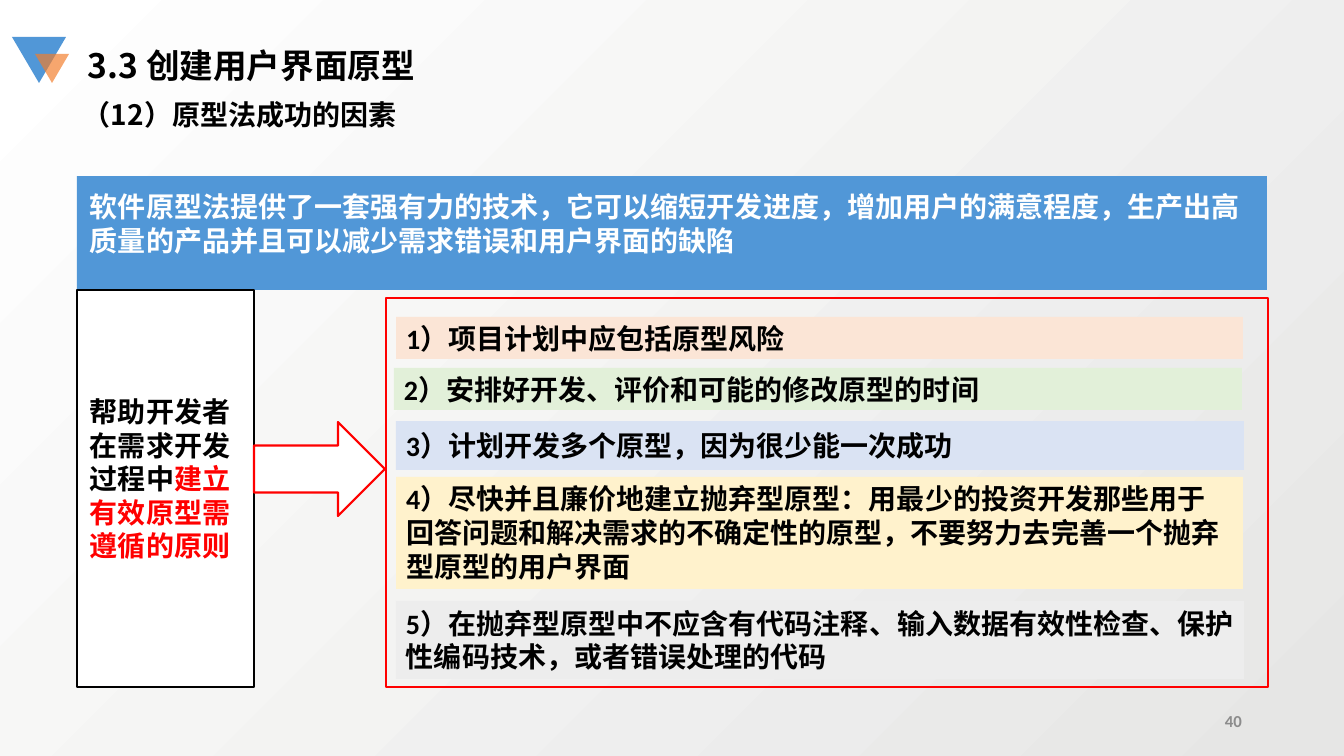
import pptx
import pptx.util
import pptx.dml.color
import pptx.enum.shapes
import pptx.enum.text
import pptx.oxml.ns
import lxml.etree

RGB = pptx.dml.color.RGBColor
SHAPE = pptx.enum.shapes.MSO_SHAPE
ALIGN = pptx.enum.text.PP_ALIGN
ANCHOR = pptx.enum.text.MSO_ANCHOR
AUTO_SIZE = pptx.enum.text.MSO_AUTO_SIZE

BLUE = RGB(0x51, 0x97, 0xD7)
ORANGE = RGB(0xF3, 0x7D, 0x2A)
WHITE = RGB(0xFF, 0xFF, 0xFF)
BLACK = RGB(0x00, 0x00, 0x00)
RED = RGB(0xFF, 0x00, 0x00)
GRAY = RGB(0x8C, 0x8C, 0x8C)
BACKDROP = RGB(0xE6, 0xE6, 0xE5)
PEACH = RGB(0xFB, 0xE5, 0xD6)
GREEN = RGB(0xE2, 0xF0, 0xD9)
PALE_BLUE = RGB(0xDA, 0xE3, 0xF3)
YELLOW = RGB(0xFF, 0xF2, 0xCC)
PALE_GRAY = RGB(0xED, 0xED, 0xED)

CHINESE = "Noto Sans CJK SC"
LATIN = "Calibri"
WIDTH, HEIGHT = 1344, 756
SCALE = 12192000 / WIDTH


def px(length):
    return pptx.util.Emu(round(length * SCALE))


def write(box, *spans, font=CHINESE, size=20, align=ALIGN.LEFT,
          anchor=ANCHOR.MIDDLE, insets=(10, 5, 10, 5), grow=False):
    """Fill a box with one bold paragraph of (text, colour) spans."""
    frame = box.text_frame
    frame.word_wrap = True
    frame.auto_size = AUTO_SIZE.SHAPE_TO_FIT_TEXT if grow else AUTO_SIZE.NONE
    frame.vertical_anchor = anchor
    (frame.margin_left, frame.margin_top,
     frame.margin_right, frame.margin_bottom) = map(px, insets)
    para = frame.paragraphs[0]
    para.alignment = align
    for text, color in spans:
        span = para.add_run()
        span.text = text
        span.font.size = pptx.util.Pt(size)
        span.font.bold = True
        span.font.color.rgb = color
        span.font.name = font
        latin = span.font._element.find(pptx.oxml.ns.qn("a:latin"))
        east_asian = lxml.etree.Element(pptx.oxml.ns.qn("a:ea"), typeface=CHINESE)
        latin.addnext(east_asian)


class SlideBuilder:
    def __init__(self, deck):
        self.slide = deck.slides.add_slide(deck.slide_layouts[6])

    def background(self, start, end, angle):
        fill = self.slide.background.fill
        fill.gradient()
        fill.gradient_angle = angle
        for stop, color in zip(fill.gradient_stops, (start, end)):
            stop.color.rgb = color

    def shape(self, kind, place, fill=None, line=None, line_width=1):
        box = self.slide.shapes.add_shape(kind, *map(px, place))
        box.shadow.inherit = False
        if fill is None:
            box.fill.background()
        else:
            box.fill.solid()
            box.fill.fore_color.rgb = fill
        if line is None:
            box.line.fill.background()
        else:
            box.line.color.rgb = line
            box.line.width = pptx.util.Pt(line_width)
        return box

    def triangle(self, place, fill, opacity=100):
        """Draw a triangle that points down."""
        box = self.shape(SHAPE.ISOSCELES_TRIANGLE, place, fill)
        box.rotation = 180
        if opacity < 100:
            color = box.fill._xPr.find(".//" + pptx.oxml.ns.qn("a:srgbClr"))
            lxml.etree.SubElement(color, pptx.oxml.ns.qn("a:alpha"),
                                  val=str(opacity * 1000))

    def panel(self, place, fill, *spans, line=None, **text_format):
        write(self.shape(SHAPE.RECTANGLE, place, fill, line), *spans, **text_format)

    def label(self, place, text, color=BLACK, **text_format):
        box = self.slide.shapes.add_textbox(*map(px, place))
        write(box, (text, color), **text_format)


def main():
    deck = pptx.Presentation()
    deck.slide_width, deck.slide_height = px(WIDTH), px(HEIGHT)
    page = SlideBuilder(deck)
    page.background(BACKDROP, WHITE, 135)

    page.triangle((12, 37, 54, 46), BLUE)
    page.triangle((35, 54, 34, 29), ORANGE, opacity=68)
    page.label((78, 40, 356, 50), "3.3 创建用户界面原型", size=24,
               anchor=ANCHOR.TOP, grow=True)
    page.label((73, 92, 856, 44), "（12）原型法成功的因素",
               anchor=ANCHOR.TOP, grow=True)
    page.label((950, 701, 302, 40), "40", GRAY, font=LATIN, size=12,
               align=ALIGN.RIGHT)

    raised = (13, 7, 13, 27)
    page.panel((77, 176, 1190, 114), BLUE,
               ("软件原型法提供了一套强有力的技术，它可以缩短开发进度，增加用户的满意程度，"
                "生产出高质量的产品并且可以减少需求错误和用户界面的缺陷", WHITE),
               insets=raised)
    page.panel((77, 290, 177, 397), WHITE,
               ("帮助开发者在需求开发过程中", BLACK),
               ("建立有效原型需遵循的原则", RED),
               line=BLACK, insets=raised)

    principles = [
        ((396, 317, 847, 42), PEACH, "1）项目计划中应包括原型风险", {}),
        ((394, 368, 848, 42), GREEN, "2）安排好开发、评价和可能的修改原型的时间", {}),
        ((396, 421, 848, 49), PALE_BLUE, "3）计划开发多个原型，因为很少能一次成功", {}),
        ((396, 477, 847, 112), YELLOW,
         "4）尽快并且廉价地建立抛弃型原型：用最少的投资开发那些用于回答问题和解决需求的"
         "不确定性的原型，不要努力去完善一个抛弃型原型的用户界面",
         {"anchor": ANCHOR.TOP, "grow": True}),
        ((396, 601, 848, 78), PALE_GRAY,
         "5）在抛弃型原型中不应含有代码注释、输入数据有效性检查、保护性编码技术，"
         "或者错误处理的代码",
         {"anchor": ANCHOR.TOP, "grow": True, "align": ALIGN.JUSTIFY}),
    ]
    for place, fill, text, text_format in principles:
        page.panel(place, fill, (text, BLACK), font=LATIN, **text_format)

    page.shape(SHAPE.RIGHT_ARROW, (254, 422, 131, 94), WHITE, RED, 1.5)
    page.shape(SHAPE.RECTANGLE, (386, 298, 882, 389), line=RED)
    deck.save("out.pptx")


if __name__ == "__main__":
    main()
